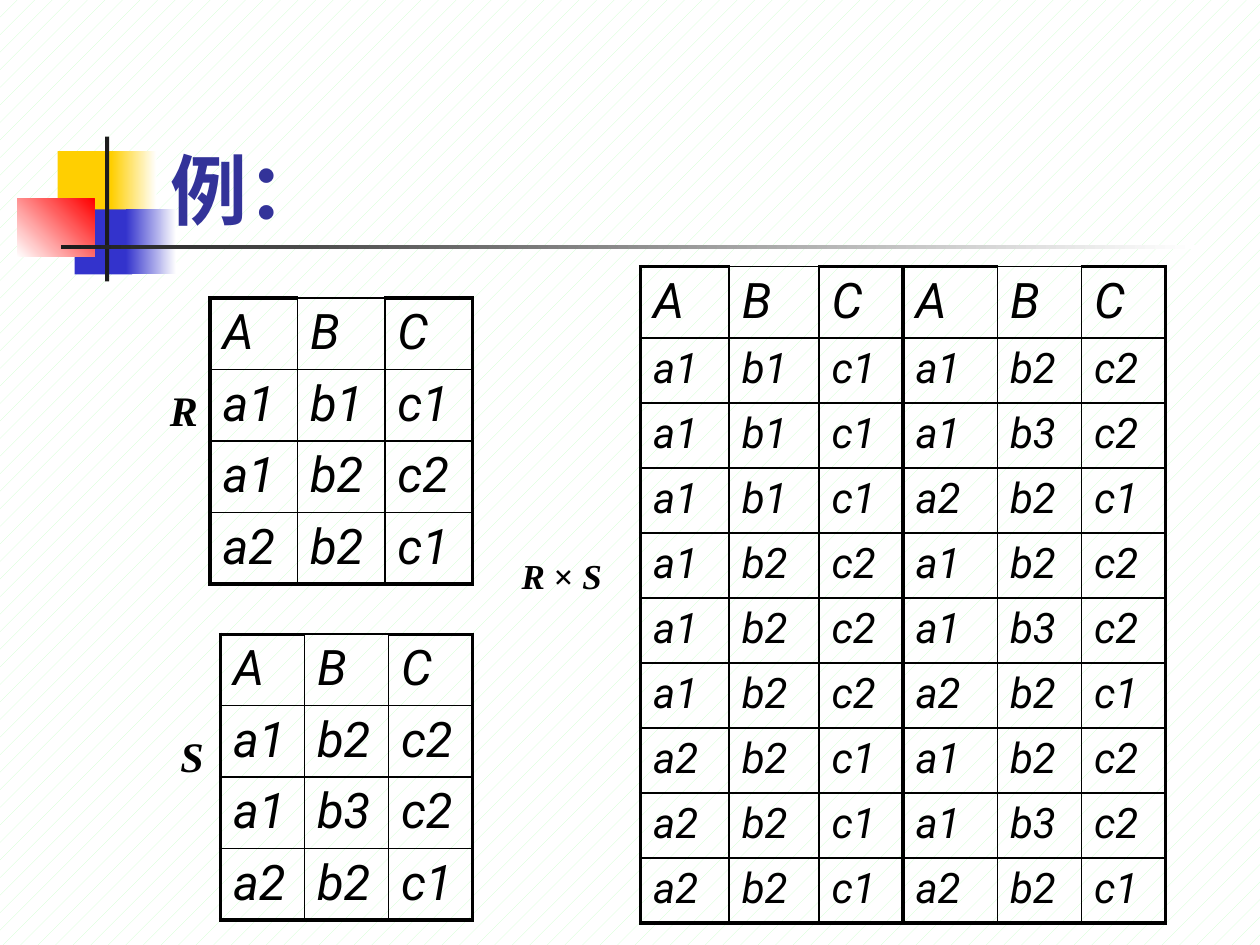
import itertools
import pptx
import pptx.util
import pptx.dml.color
import pptx.enum.dml
import pptx.enum.shapes
import pptx.enum.text
from lxml import etree
from pptx.oxml.ns import qn

# Content: two relations and their product
HEAD = ["A", "B", "C"]
R = [["a1", "b1", "c1"], ["a1", "b2", "c2"], ["a2", "b2", "c1"]]
S = [["a1", "b2", "c2"], ["a1", "b3", "c2"], ["a2", "b2", "c1"]]
PAIRS = list(itertools.product(R, S))
TITLE = "例："

THEME = {
    "body": "Roboto", "label": "Times New Roman",
    "ink": "000000", "title": "333399", "dark": "1C1C1C", "paper": "FFFFFF",
    "mint": "CCFFCC", "gold": "FFCF01", "blue": "3333CC", "red": "FF0000",
    "big": 44, "head": 28, "cell": 24, "small": 20, "thick": 2.25, "thin": 1,
}

# The slide is a grid of 120 columns by 90 rows
COLS, ROWS = 120, 90
HIGH, LOW = 6.81, 6.19  # table row heights

# Left, top, width, height, colour stops, angle
DECOR = [
    (5.5, 14.4, 5.8, 6.2, ["gold"], 0),
    (10.6, 14.4, 4.3, 6.2, ["gold", "paper"], 0),
    (7.1, 19.95, 5.5, 6.2, ["blue"], 0),
    (12, 19.95, 4.8, 6.2, ["blue", "paper"], 0),
    (1.65, 18.95, 7.35, 5.5, ["paper", "red"], 45),
    (10, 13, 0.4, 13.8, ["dark"], 0),
    (5.8, 23.35, 108, 0.4, ["dark", "paper"], 0),
]

# Left, top, column widths, body row height, body type size, body rows
TABLES = [
    (20, 28.4, [8.33] * 3, HIGH, "head", R),
    (61, 25.4, [8.45, 8.55, 8], LOW, "cell", [r for r, s in PAIRS]),
    (21, 60.4, [8] * 3, HIGH, "head", S),
    (86, 25.4, [9, 8, 8], LOW, "cell", [s for r, s in PAIRS]),
]

# Left, top, width, height, runs of (text, size, bold, italic)
LABELS = [
    (15, 33.5, 4, 11, [("R", "cell", True, True)]),
    (16, 66.5, 4, 11, [("S", "cell", True, True)]),
    (48, 49.5, 11, 10, [("R ", "small", True, True), ("×", "small", True, False),
                        (" S", "small", True, True), (" ", "cell", False, False)]),
]

prs = pptx.Presentation()
prs.slide_width = pptx.util.Inches(10)
prs.slide_height = pptx.util.Inches(7.5)
slide = prs.slides.add_slide(prs.slide_layouts[6])


def box(x, y, w, h):
    dx, dy = prs.slide_width / COLS, prs.slide_height / ROWS
    return [round(n) for n in (x * dx, y * dy, w * dx, h * dy)]


def hue(name):
    return pptx.dml.color.RGBColor.from_string(THEME[name])


def style(font, face, size, color, bold=False, italic=False):
    font.name, font.size = THEME[face], pptx.util.Pt(THEME[size])
    font.bold, font.italic = bold, italic
    font.color.rgb = hue(color)


def decor(x, y, w, h, stops, angle):
    shape = slide.shapes.add_shape(
        pptx.enum.shapes.MSO_SHAPE.RECTANGLE, *box(x, y, w, h))
    shape.shadow.inherit = False
    shape.line.fill.background()
    if len(stops) == 1:
        shape.fill.solid()
        shape.fill.fore_color.rgb = hue(stops[0])
        return
    shape.fill.gradient()
    shape.fill.gradient_angle = angle
    for stop, name, at in zip(shape.fill.gradient_stops, stops, (0, 1)):
        stop.color.rgb, stop.position = hue(name), at


def edge(cell, side, weight):
    line = etree.SubElement(cell._tc.get_or_add_tcPr(), qn("a:ln" + side),
                            w=str(pptx.util.Pt(THEME[weight])))
    fill = etree.SubElement(line, qn("a:solidFill"))
    etree.SubElement(fill, qn("a:srgbClr"), val=THEME["ink"])


def table(x, y, widths, step, size, body):
    rows = [HEAD] + body
    tall = [HIGH] + [step] * len(body)
    grid = slide.shapes.add_table(
        len(rows), len(HEAD), *box(x, y, sum(widths), sum(tall))).table
    grid.first_row = grid.horz_banding = False
    for col, w in zip(grid.columns, widths):
        col.width = box(0, 0, w, 0)[2]
    for row, h in zip(grid.rows, tall):
        row.height = box(0, 0, 0, h)[3]
    last, end = len(rows) - 1, len(HEAD) - 1
    for i, j in itertools.product(range(last + 1), range(end + 1)):
        cell = grid.cell(i, j)
        cell.text = rows[i][j]
        style(cell.text_frame.paragraphs[0].font, "body",
              size if i else "head", "ink", italic=True)
        # Heavy outer frame, light over the middle heading
        heavy = {"L": j == 0, "R": j == end,
                 "T": i == 0 and j in (0, end), "B": i == last}
        for side, bold in heavy.items():
            edge(cell, side, "thick" if bold else "thin")
        cell.fill.background()


def text(x, y, w, h, anchor, wrap):
    frame = slide.shapes.add_textbox(*box(x, y, w, h)).text_frame
    frame.word_wrap, frame.vertical_anchor = wrap, anchor
    return frame.paragraphs[0]


# Background
ground = slide.background.fill
ground.patterned()
ground.pattern = pptx.enum.dml.MSO_PATTERN.PERCENT_5
ground.fore_color.rgb, ground.back_color.rgb = hue("mint"), hue("paper")

for part in DECOR:
    decor(*part)

# Title
para = text(15.1, 8, 102.2, 15, pptx.enum.text.MSO_ANCHOR.BOTTOM, True)
para.text = TITLE
style(para.font, "body", "big", "title", bold=True)

for part in TABLES:
    table(*part)

# Relation names
for *place, runs in LABELS:
    para = text(*place, pptx.enum.text.MSO_ANCHOR.MIDDLE, False)
    para.alignment = pptx.enum.text.PP_ALIGN.CENTER
    for words, size, bold, italic in runs:
        run = para.add_run()
        run.text = words
        style(run.font, "label", size, "ink", bold, italic)

prs.save("out.pptx")
